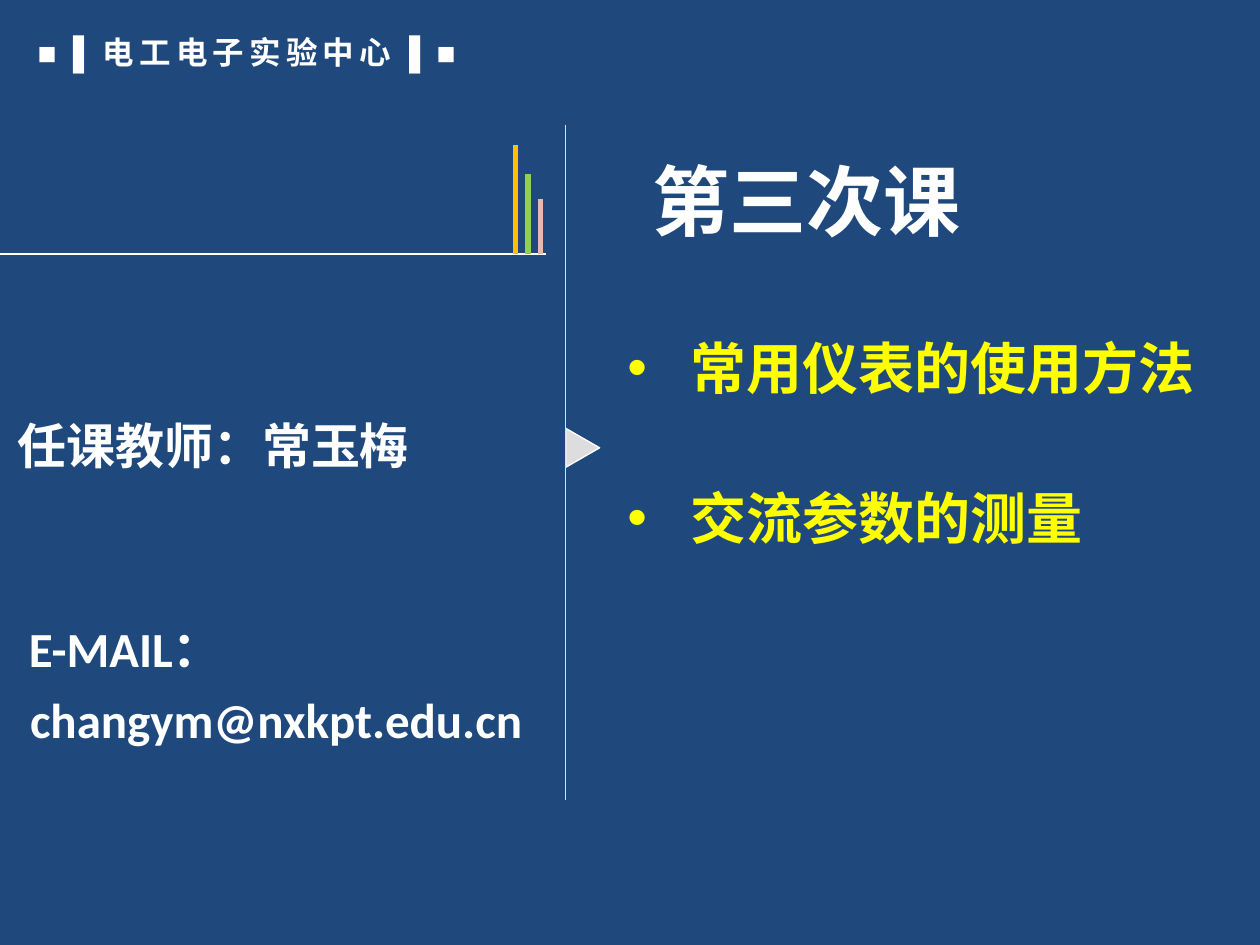
from dataclasses import dataclass

from lxml.etree import SubElement
from pptx import Presentation
from pptx.dml.color import RGBColor
from pptx.enum.shapes import MSO_CONNECTOR as Connector, MSO_SHAPE as Shape
from pptx.enum.text import MSO_ANCHOR as Anchor
from pptx.oxml.ns import qn
from pptx.util import Pt


@dataclass(frozen=True)
class Theme:
    """Colours, fonts and type sizes of the slide."""

    background: str = "1F497D"
    white: str = "FFFFFF"
    grey: str = "DDDDDD"
    yellow: str = "FFFF00"
    bars: tuple = ("FFC000", "92D050", "E6B9B8")
    latin: str = "Calibri"
    chinese: str = "Noto Sans CJK SC"
    symbol: str = "Times New Roman"
    header_size: int = 18
    body_size: int = 28
    topic_size: int = 32
    title_size: int = 44


THEME = Theme()


def rgb(colour):
    """Turn a hex string into a colour."""
    return RGBColor.from_string(colour)


def style_run(run, size, colour, latin, east_asian=THEME.chinese, tracking=0):
    """Format one bold run."""
    run.font.size = Pt(size)
    run.font.bold = True
    run.font.color.rgb = rgb(colour)
    run.font.name = latin
    properties = run.font._element
    SubElement(properties, qn("a:ea")).set("typeface", east_asian)
    if tracking:
        properties.set("spc", str(tracking * 100))


def add_text(slide, box, lines, size, colour=THEME.white, latin=THEME.latin,
             wrap=True, anchor=Anchor.TOP):
    """Add a text box with one paragraph per line and return its paragraphs."""
    frame = slide.shapes.add_textbox(*map(Pt, box)).text_frame
    frame.word_wrap = wrap
    frame.vertical_anchor = anchor
    frame.text = "\n".join(lines)
    for paragraph in frame.paragraphs:
        for run in paragraph.runs:
            style_run(run, size, colour, latin)
    return frame.paragraphs


def add_header(slide, box, pieces):
    """Add the letter-spaced header from text and font pairs."""
    frame = slide.shapes.add_textbox(*map(Pt, box)).text_frame
    frame.word_wrap = True
    for words, font in pieces:
        run = frame.paragraphs[0].add_run()
        run.text = words
        style_run(run, THEME.header_size, THEME.white, font, font, tracking=3)


def indent(paragraph, margin, first_line, line_spacing):
    """Set the indents and line spacing of a paragraph."""
    paragraph.line_spacing = line_spacing
    properties = paragraph._p.get_or_add_pPr()
    properties.set("marL", str(Pt(margin)))
    properties.set("indent", str(Pt(first_line)))
    return properties


def add_topics(slide, box, topics):
    """Add the bulleted list of topics."""
    for topic in add_text(slide, box, topics, THEME.topic_size, THEME.yellow):
        topic.space_before = Pt(6.4)
        properties = indent(topic, 36, -36, 1.5)
        SubElement(properties, qn("a:buFont")).set("typeface", "Arial")
        SubElement(properties, qn("a:buChar")).set("char", "•")


def add_line(slide, start, end, colour, width=0.75):
    """Add a straight line."""
    line = slide.shapes.add_connector(Connector.STRAIGHT, *map(Pt, start + end))
    line.line.color.rgb = rgb(colour)
    line.line.width = Pt(width)
    SubElement(line._element.spPr, qn("a:effectLst"))


def add_pointer(slide, box):
    """Add the triangle that points from the divider to the topics."""
    pointer = slide.shapes.add_shape(Shape.ISOSCELES_TRIANGLE, *map(Pt, box))
    pointer.rotation = 90
    pointer.shadow.inherit = False
    pointer.fill.solid()
    pointer.fill.fore_color.rgb = rgb(THEME.grey)
    pointer.line.color.rgb = rgb(THEME.white)
    pointer.line.width = Pt(0.75)


def main():
    """Build the course title slide."""
    deck = Presentation()
    deck.slide_width, deck.slide_height = Pt(720), Pt(540)
    slide = deck.slides.add_slide(deck.slide_layouts[6])
    slide.background.fill.solid()
    slide.background.fill.fore_color.rgb = rgb(THEME.background)

    add_header(slide, (14.4, 15.1, 290, 28.8), [
        ("■▐ ", THEME.symbol),
        ("电工电子实验中心 ", THEME.chinese),
        ("▌■", THEME.symbol),
    ])
    add_pointer(slide, (321.8, 246.2, 22.3, 19.4))
    add_line(slide, (323.3, 71.3), (323.3, 457.2), THEME.grey)
    baseline = 145.2
    add_line(slide, (0, baseline), (311.8, baseline), THEME.white)
    for index, (top, colour) in enumerate(zip((82.8, 99.4, 113.8), THEME.bars)):
        bar_x = 294.5 + 7.2 * index
        add_line(slide, (bar_x, baseline), (bar_x, top), colour, 3)

    add_text(slide, (365.8, 84.2, 193, 60.5), ["第三次课"], THEME.title_size,
             latin=THEME.chinese, wrap=False)
    add_topics(slide, (351.4, 167.8, 340.6, 277.2),
               ["常用仪表的使用方法\v", "交流参数的测量"])
    contact = add_text(slide, (2.9, 343.4, 334.8, 88.6),
                       ["E-MAIL：changym@nxkpt.edu.cn"], THEME.body_size)
    indent(contact[0], 7.2, -0.7, 1.2)
    add_text(slide, (2.9, 230.4, 334.8, 48.2), ["任课教师：常玉梅"],
             THEME.body_size, anchor=Anchor.MIDDLE)

    deck.save("out.pptx")


if __name__ == "__main__":
    main()
